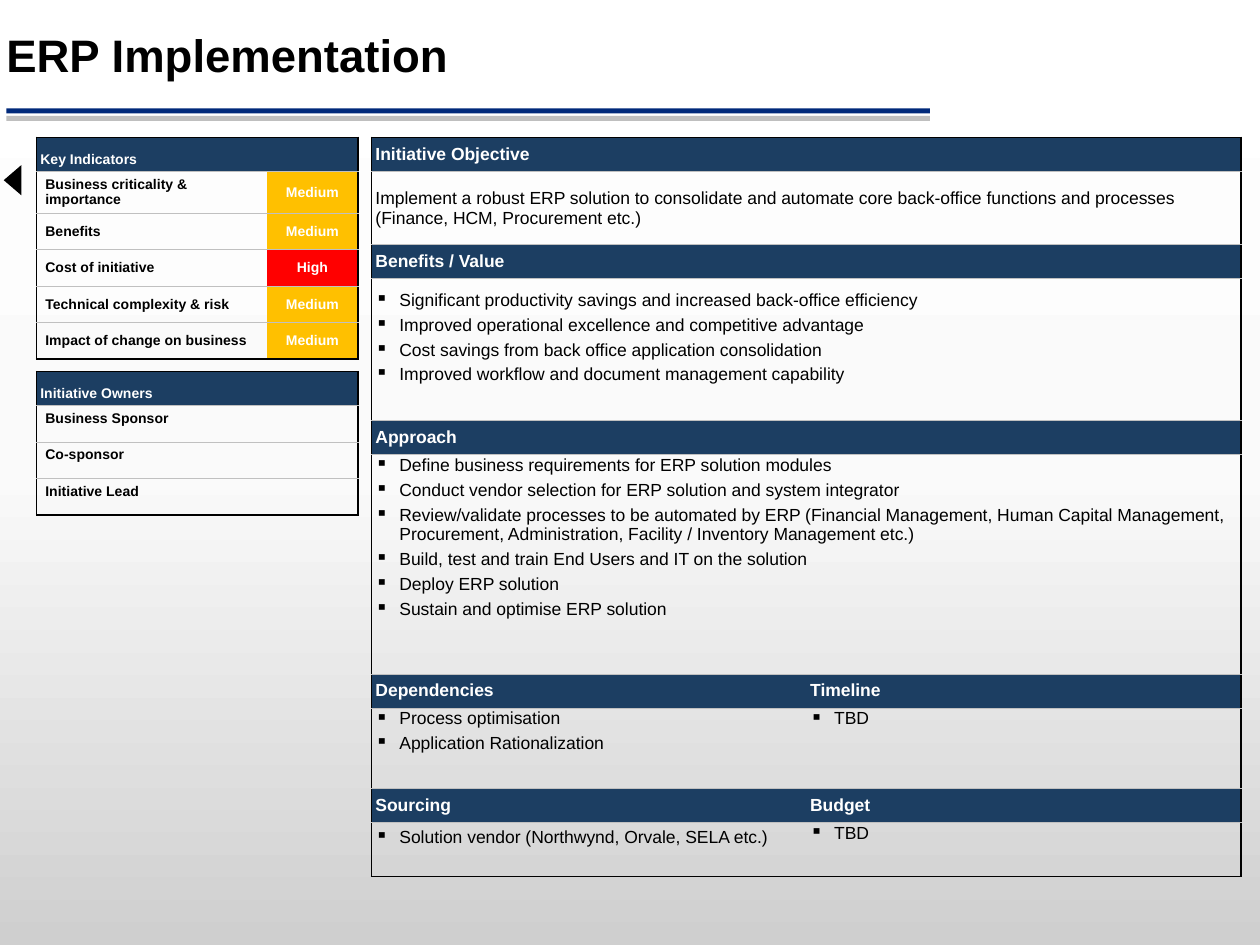
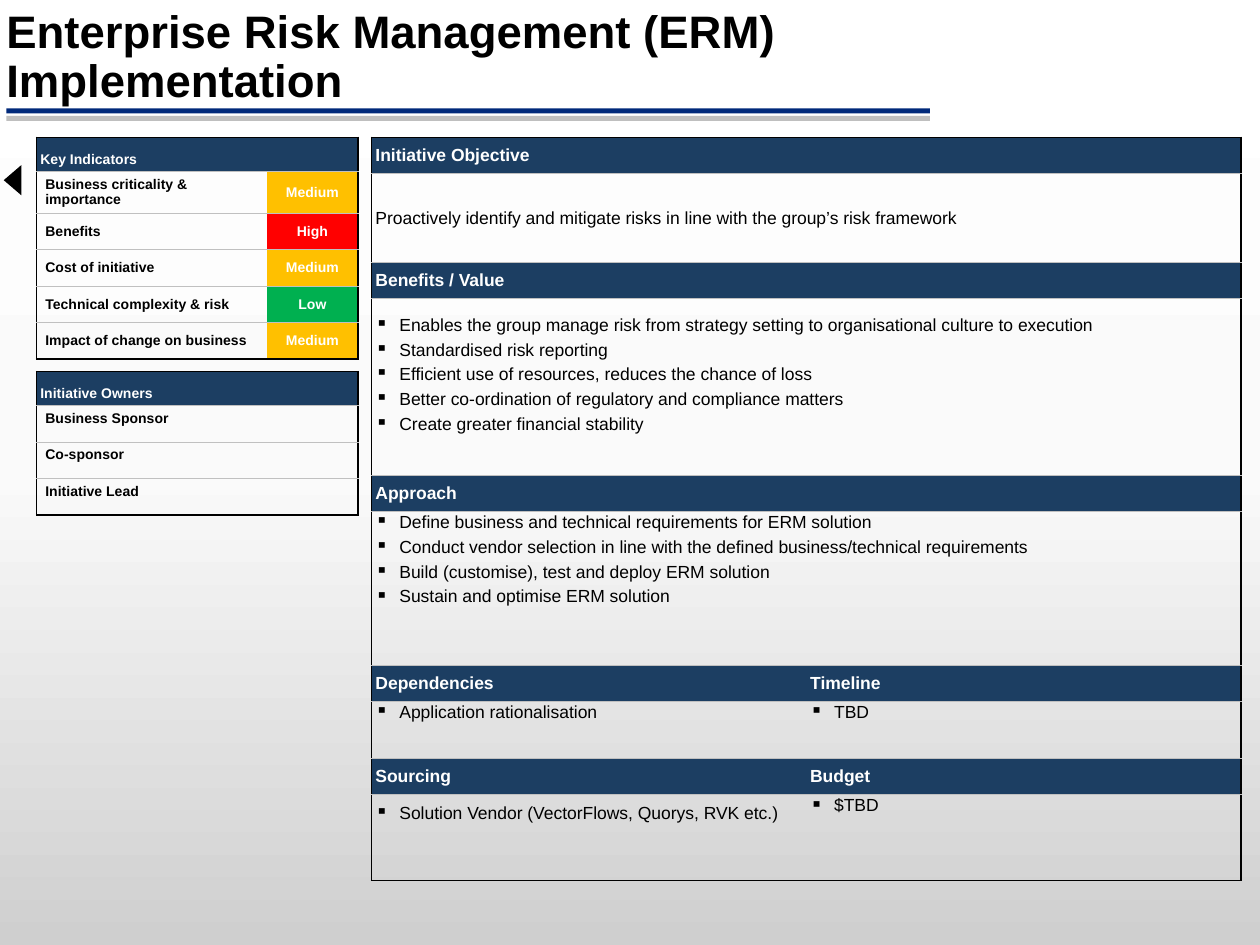
"""Build two initiative summary slides: ERP and ERM implementation."""
from copy import deepcopy

from lxml.etree import SubElement
from pptx import Presentation
from pptx.dml.color import RGBColor
from pptx.enum.shapes import MSO_SHAPE
from pptx.enum.text import MSO_ANCHOR, MSO_AUTO_SIZE, PP_ALIGN
from pptx.oxml.ns import qn
from pptx.util import Inches, Pt

COLOURS = {
    "black": "000000", "white": "FFFFFF", "navy": "1C3E62", "blue": "00297A",
    "band": "BFBFBF", "rule": "C0C0C0", "grey": "CFCFCF", "pale": "FAFAFA",
    "Low": "00B050", "Medium": "FFC000", "High": "FF0000",
}
FONT = "Arial"
HEAD_INSETS = (0.03, 0.03, 0.03, 0.03)
LABEL_INSETS = (0.07, 0.04, 0.07, 0.04)
BODY_INSETS = (0.03, 0.01, 0.01, 0)
INDICATORS = ["Business criticality & importance", "Benefits", "Cost of initiative",
              "Technical complexity & risk", "Impact of change on business"]
OWNERS = ["Business Sponsor", "Co-sponsor", "Initiative Lead"]

INITIATIVES = [
    {
        "title": "ERP Implementation", "title_top": 0.21, "title_height": 0.49,
        "ratings": ["Medium", "Medium", "High", "Medium", "Medium"],
        "head_height": 0.27, "body_heights": [0.58, 1.13, 1.74, 0.64, 0.43],
        "sourcing_gap": 0.2,
        "objective": "Implement a robust ERP solution to consolidate and automate core "
                     "back-office functions and processes (Finance, HCM, Procurement etc.)",
        "benefits": [
            "Significant productivity savings and increased back-office efficiency",
            "Improved operational excellence and competitive advantage",
            "Cost savings from back office application consolidation",
            "Improved workflow and document management capability"],
        "approach": [
            "Define business requirements for ERP solution modules",
            "Conduct vendor selection for ERP solution and system integrator",
            "Review/validate processes to be automated by ERP (Financial Management, Human "
            "Capital Management, Procurement, Administration, Facility / Inventory "
            "Management etc.)",
            "Build, test and train End Users and IT on the solution",
            "Deploy ERP solution",
            "Sustain and optimise ERP solution"],
        "dependencies": ["Process optimisation", "Application Rationalization"],
        "timeline": ["TBD"],
        "sourcing": ["Solution vendor (Northwynd, Orvale, SELA etc.)"],
        "budget": ["TBD"],
    },
    {
        "title": "Enterprise Risk Management (ERM) Implementation",
        "title_top": 0.02, "title_height": 0.89,
        "ratings": ["Medium", "High", "Medium", "Low", "Medium"],
        "head_height": 0.29, "body_heights": [0.7, 1.4, 1.22, 0.45, 0.68],
        "sourcing_gap": 0.4,
        "objective": "Proactively identify and mitigate risks in line with the group’s "
                     "risk framework",
        "benefits": [
            "Enables the group manage risk from strategy setting to organisational culture "
            "to execution",
            "Standardised risk reporting",
            "Efficient use of resources, reduces the chance of loss",
            "Better co-ordination of regulatory and compliance matters",
            "Create greater financial stability"],
        "approach": [
            "Define business and technical requirements for ERM solution",
            "Conduct vendor selection in line with the defined business/technical "
            "requirements",
            "Build (customise), test and deploy ERM solution",
            "Sustain and optimise ERM solution"],
        "dependencies": ["Application rationalisation"],
        "timeline": ["TBD"],
        "sourcing": ["Solution Vendor (VectorFlows, Quorys, RVK etc.)"],
        "budget": ["$TBD"],
    },
]


def write_cell(cell, lines, size, colour="black", bold=False, fill=None, insets=BODY_INSETS,
               anchor=MSO_ANCHOR.MIDDLE, align=PP_ALIGN.LEFT, bullets=False, gap=0):
    left, top, right, bottom = insets
    cell.margin_left, cell.margin_top = Inches(left), Inches(top)
    cell.margin_right, cell.margin_bottom = Inches(right), Inches(bottom + gap)
    cell.vertical_anchor = anchor
    if fill:
        cell.fill.solid()
        cell.fill.fore_color.rgb = RGBColor.from_string(COLOURS[fill])
    else:
        cell.fill.background()
    cell.text_frame.text = "\n".join(lines)
    for para in cell.text_frame.paragraphs:
        para.alignment = align
        if bullets:
            properties = para._p.get_or_add_pPr()
            properties.set("marL", str(Inches(0.19)))
            properties.set("indent", str(-Inches(0.19)))
            SubElement(properties, qn("a:buChar")).set("char", "▪")
            para.space_after = Pt(3)
        para.font.name, para.font.size, para.font.bold = FONT, Pt(size), bold
        para.font.color.rgb = RGBColor.from_string(COLOURS[colour])
        if not para.text:
            SubElement(para._p, qn("a:endParaRPr")).set("sz", str(size * 100))


def add_grid(page, left, top, widths, heights, merged_rows):
    """Add a table with a black frame and grey rules between its rows."""
    table = page.shapes.add_table(len(heights), len(widths), Inches(left), Inches(top),
                                  Inches(sum(widths)), Inches(sum(heights))).table
    table.first_row = table.horz_banding = False
    for column, width in zip(table.columns, widths):
        column.width = Inches(width)
    for row, height in zip(table.rows, heights):
        row.height = Inches(height)
    last_row, last_column = len(heights) - 1, len(widths) - 1
    for r in range(len(heights)):
        if r in merged_rows:
            table.cell(r, 0).merge(table.cell(r, last_column))
        for c in range(len(widths)):
            edges = {
                "a:lnL": "black" if c == 0 else None,
                "a:lnR": "black" if c == last_column or r in merged_rows else None,
                "a:lnT": "black" if r == 0 else "rule",
                "a:lnB": "black" if r == last_row else "rule",
            }
            properties = table.cell(r, c)._tc.get_or_add_tcPr()
            for tag, colour in edges.items():
                line = SubElement(properties, qn(tag))
                if colour:
                    line.set("w", str(Pt(1 if colour == "black" else 0.5)))
                    solid = SubElement(line, qn("a:solidFill"))
                    SubElement(solid, qn("a:srgbClr")).set("val", COLOURS[colour])
                else:
                    SubElement(line, qn("a:noFill"))
    return table


deck = Presentation()
deck.slide_width, deck.slide_height = Inches(10), Inches(7.5)

backdrop = deck.slide_master.background.fill
backdrop.gradient()
backdrop.gradient_angle = 90
stop_list = next(deck.slide_master.element.iter(qn("a:gsLst")))
stop_list.insert(1, deepcopy(stop_list[0]))
for stop, position, colour in zip(backdrop.gradient_stops, (0, 0.5, 1),
                                  ("grey", "pale", "white")):
    stop.position = position
    stop.color.rgb = RGBColor.from_string(COLOURS[colour])

for initiative in INITIATIVES:
    page = deck.slides.add_slide(deck.slide_layouts[5])

    title = page.shapes.title
    title.left, title.top = Inches(0), Inches(initiative["title_top"])
    title.width, title.height = Inches(7.77), Inches(initiative["title_height"])
    frame = title.text_frame
    frame.text = initiative["title"]
    frame.word_wrap, frame.auto_size = True, MSO_AUTO_SIZE.NONE
    frame.vertical_anchor = MSO_ANCHOR.MIDDLE
    frame.margin_left = frame.margin_right = Inches(0.05)
    frame.margin_top = frame.margin_bottom = Inches(0.05)
    para = frame.paragraphs[0]
    para.alignment, para.line_spacing = PP_ALIGN.LEFT, 0.9
    para.font.name, para.font.size, para.font.bold = FONT, Pt(26), True
    para.font.color.rgb = RGBColor.from_string(COLOURS["black"])

    for preset, left, top, width, height, turn, colour in [
        (MSO_SHAPE.RECTANGLE, 0.05, 0.92, 7.33, 0.04, 0, "band"),
        (MSO_SHAPE.RECTANGLE, 0.05, 0.86, 7.33, 0.04, 0, "blue"),
        (MSO_SHAPE.ISOSCELES_TRIANGLE, -0.02, 1.36, 0.24, 0.14, 270, "black"),
    ]:
        mark = page.shapes.add_shape(preset, Inches(left), Inches(top),
                                     Inches(width), Inches(height))
        mark.rotation = turn
        mark.shadow.inherit = False
        mark.fill.solid()
        mark.fill.fore_color.rgb = RGBColor.from_string(COLOURS[colour])
        mark.line.fill.background()

    indicators = add_grid(page, 0.29, 1.09, [1.83, 0.72], [0.27] + [0.29] * 5, [0])
    owners = add_grid(page, 0.29, 2.95, [1.14, 1.41], [0.27] + [0.29] * 3, [0])
    for table, heading in [(indicators, "Key Indicators"), (owners, "Initiative Owners")]:
        write_cell(table.cell(0, 0), [heading], 8, "white", True, "navy", HEAD_INSETS,
                   MSO_ANCHOR.BOTTOM)
    for r, (label, rating) in enumerate(zip(INDICATORS, initiative["ratings"]), 1):
        write_cell(indicators.cell(r, 0), [label], 8, bold=True, insets=LABEL_INSETS)
        write_cell(indicators.cell(r, 1), [rating], 8, "white", True, rating, LABEL_INSETS,
                   align=PP_ALIGN.CENTER)
    for r, owner in enumerate(OWNERS, 1):
        for c, text in enumerate([owner, ""]):
            write_cell(owners.cell(r, c), [text], 8, bold=True, insets=LABEL_INSETS,
                       anchor=MSO_ANCHOR.TOP)

    heights = [height for body in initiative["body_heights"]
               for height in (initiative["head_height"], body)]
    details = add_grid(page, 2.95, 1.09, [3.45, 3.45], heights, range(6))
    write_cell(details.cell(1, 0), [initiative["objective"]], 10)
    for r, c, heading, key, anchor, gap in [
        (0, 0, "Initiative Objective", None, None, 0),
        (2, 0, "Benefits / Value", "benefits", MSO_ANCHOR.MIDDLE, 0.2),
        (4, 0, "Approach", "approach", MSO_ANCHOR.TOP, 0),
        (6, 0, "Dependencies", "dependencies", MSO_ANCHOR.TOP, 0),
        (6, 1, "Timeline", "timeline", MSO_ANCHOR.TOP, 0),
        (8, 0, "Sourcing", "sourcing", MSO_ANCHOR.MIDDLE, initiative["sourcing_gap"]),
        (8, 1, "Budget", "budget", MSO_ANCHOR.TOP, 0),
    ]:
        write_cell(details.cell(r, c), [heading], 10, "white", True, "navy", HEAD_INSETS)
        if key:
            write_cell(details.cell(r + 1, c), initiative[key], 10, anchor=anchor,
                       bullets=True, gap=gap)

deck.save("out.pptx")
